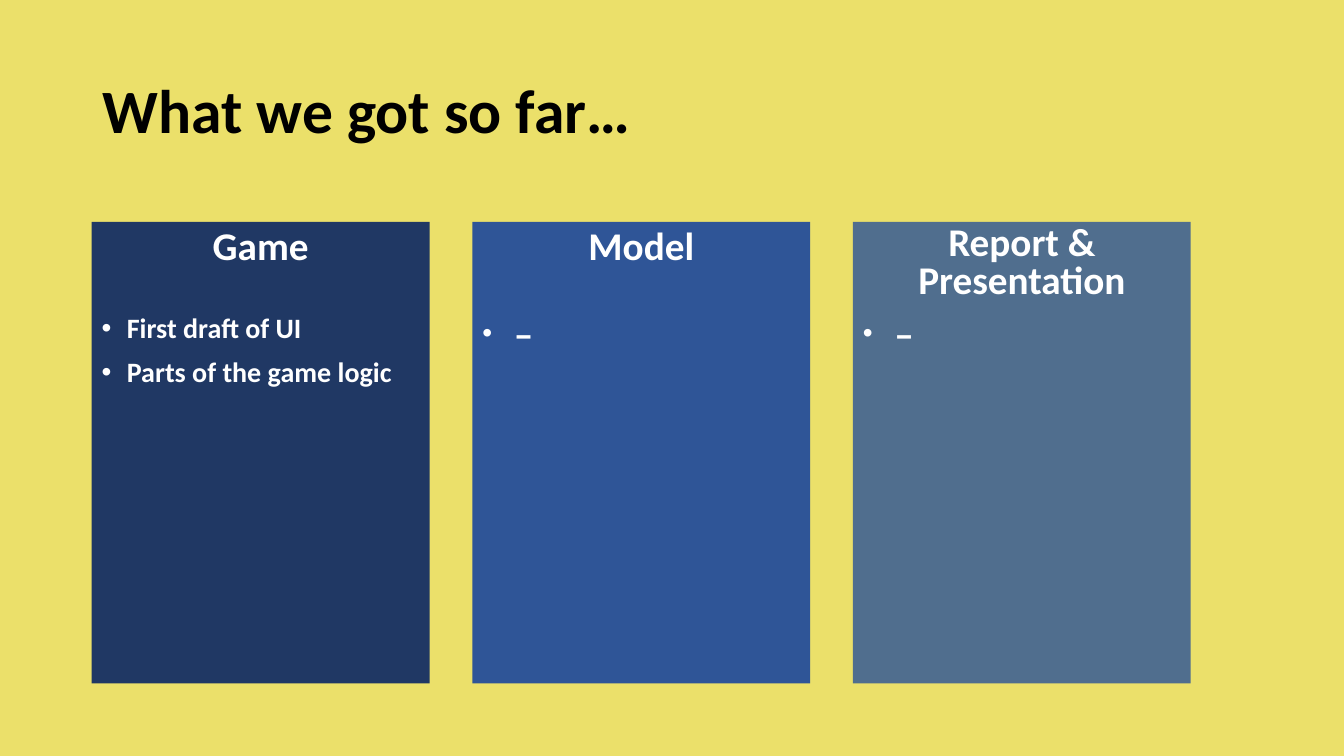
from lxml.etree import SubElement
from pptx import Presentation
from pptx.dml.color import RGBColor
from pptx.enum.shapes import MSO_SHAPE as Shape
from pptx.enum.text import MSO_ANCHOR as Anchor, PP_ALIGN as Align
from pptx.oxml.ns import qn
from pptx.util import Inches, Pt

COLORS = {"page": "EBE06A", "game": "203864", "blue": "2F5597",
          "title": "000000", "text": "FFFFFF"}
FONT = "Calibri"

# Three equal columns: left edge, step from column to column, width
LEFT, STEP, WIDTH = 0.91, 3.775, 3.35
TOP, HEIGHT = 2.2, 4.58
HEAD_HEIGHT, LIST_OFFSET = 0.9, 0.87

# Heading, colour, opacity in percent, heading line spacing, items;
# each item is a list of (text, size)
COLUMNS = [
    ("Game", "game", 100, 0.9,
     [[("First draft of UI", 20)], [("Parts of the game logic", 20)]]),
    ("Model", "blue", 100, 0.9, [[(" ", 20), ("–", 28)]]),
    ("Report & Presentation", "blue", 82, 0.8, [[(" ", 20), ("–", 28)]]),
]


def color(name):
    return RGBColor.from_string(COLORS[name])


def style(font, size, name):
    font.name, font.bold = FONT, True
    font.color.rgb = color(name)
    if size:
        font.size = Pt(size)


def add_title(page, text):
    title = page.shapes.title
    title.left, title.top = Inches(0.92), Inches(0.4)
    title.width, title.height = Inches(11.5), Inches(1.45)
    frame = title.text_frame
    frame.text = text
    frame.vertical_anchor = Anchor.MIDDLE
    para = frame.paragraphs[0]
    para.alignment = Align.LEFT
    para.line_spacing = 0.9
    style(para.font, 44, "title")


def add_panel(page, left, fill, opacity):
    panel = page.shapes.add_shape(Shape.SNIP_2_SAME_RECTANGLE, Inches(left),
                                  Inches(TOP), Inches(WIDTH), Inches(HEIGHT))
    panel.adjustments[0] = panel.adjustments[1] = 0
    panel.shadow.inherit = False
    panel.line.fill.background()
    panel.fill.solid()
    panel.fill.fore_color.rgb = color(fill)
    if opacity < 100:
        tint = panel.fill._xPr.find(qn("a:solidFill"))[0]
        SubElement(tint, qn("a:alpha"), val=str(opacity * 1000))


def add_text_frame(page, left, top, height):
    box = page.shapes.add_textbox(Inches(left), Inches(top),
                                  Inches(WIDTH), Inches(height))
    box.text_frame.word_wrap = True
    return box.text_frame


def add_heading(page, left, text, spacing):
    para = add_text_frame(page, left, TOP, HEAD_HEIGHT).paragraphs[0]
    para.text = text
    para.alignment = Align.CENTER
    para.line_spacing = spacing
    style(para.font, 28, "text")


def add_bullet(para):
    props = para._p.get_or_add_pPr()
    props.set("marL", str(Inches(0.25)))
    props.set("indent", str(Inches(-0.25)))
    SubElement(props, qn("a:buFont"), typeface="Arial")
    SubElement(props, qn("a:buChar"), char="•")


def add_list(page, left, items):
    frame = add_text_frame(page, left, TOP + LIST_OFFSET, HEIGHT - LIST_OFFSET)
    for index, item in enumerate(items):
        para = frame.add_paragraph() if index else frame.paragraphs[0]
        add_bullet(para)
        para.line_spacing = 0.9
        if index:
            para.space_before = Pt(10)
        style(para.font, None, "text")
        for text, size in item:
            span = para.add_run()
            span.text = text
            span.font.size = Pt(size)


def main():
    deck = Presentation()
    deck.slide_width, deck.slide_height = Inches(13.33), Inches(7.5)
    page = deck.slides.add_slide(deck.slide_layouts[5])
    page.background.fill.solid()
    page.background.fill.fore_color.rgb = color("page")

    add_title(page, "What we got so far…")

    # Columns: panel, heading and bullet list
    for index, (heading, fill, opacity, spacing, items) in enumerate(COLUMNS):
        left = LEFT + index * STEP
        add_panel(page, left, fill, opacity)
        add_heading(page, left, heading, spacing)
        add_list(page, left, items)

    deck.save("out.pptx")


if __name__ == "__main__":
    main()
